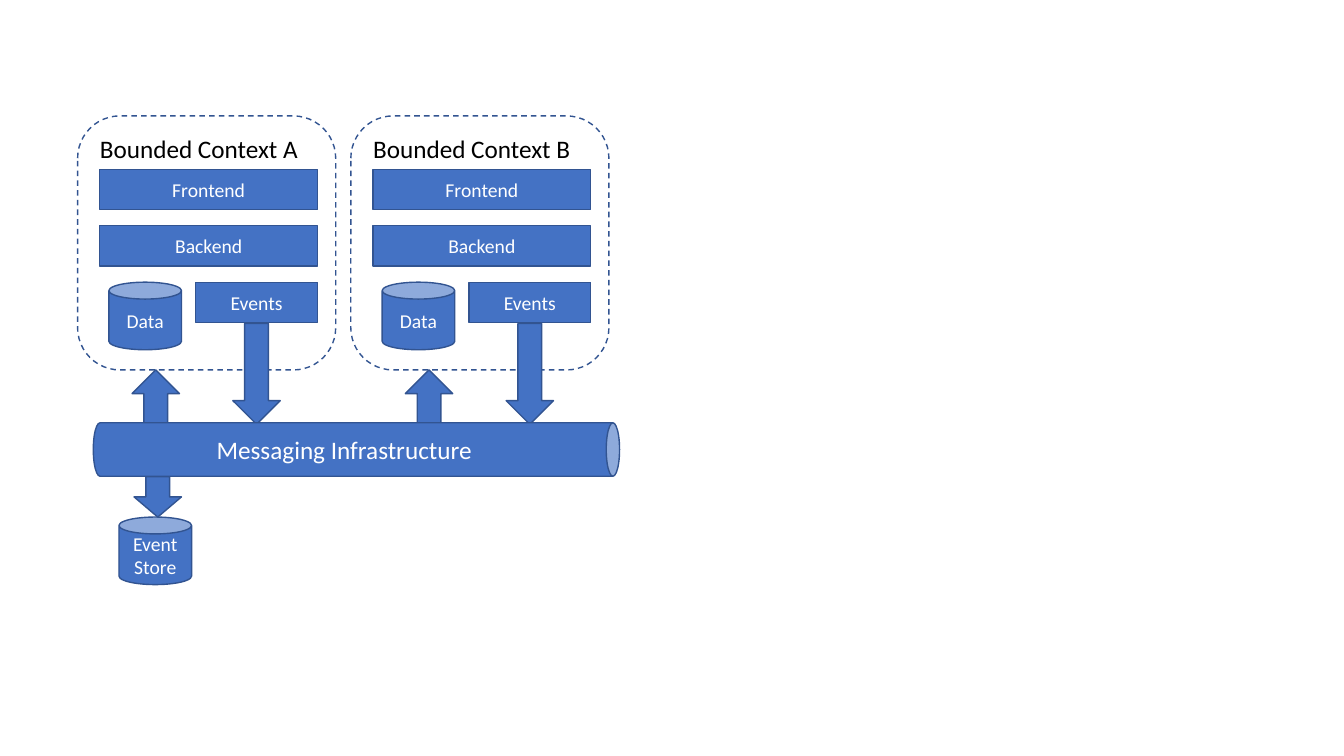
from pptx import Presentation
from pptx.dml.color import RGBColor
from pptx.enum.dml import MSO_LINE
from pptx.enum.shapes import MSO_SHAPE as SHAPE
from pptx.enum.text import MSO_ANCHOR as ANCHOR, MSO_AUTO_SIZE as AUTO, PP_ALIGN as ALIGN
from pptx.util import Inches, Pt

CELL = Inches(0.1)
BLUE, OUTLINE, WHITE, BLACK = "4472C4", "325491", "FFFFFF", "000000"
CONTEXT_PITCH = 27.1
LAYER_TOP, LAYER_PITCH = 16.8, 5.6
BAR_H = 4
CAN_W, CAN_H = 7.2, 6.7
ARROW_W = 4.7


def rgb(value):
    return RGBColor.from_string(value)


def cells(*counts):
    return [round(n * CELL) for n in counts]


def write(sp, text, size, color, align=ALIGN.LEFT, anchor=ANCHOR.TOP):
    tf = sp.text_frame
    tf.word_wrap = True
    tf.vertical_anchor = anchor
    p = tf.paragraphs[0]
    p.text = text
    p.alignment = align
    p.font.name = "Calibri"
    p.font.size = Pt(size)
    p.font.color.rgb = rgb(color)


def add_block(slide, kind, col, row, width, height, label="", rotation=0):
    sp = slide.shapes.add_shape(kind, *cells(col, row, width, height))
    sp.shadow.inherit = False
    sp.fill.solid()
    sp.fill.fore_color.rgb = rgb(BLUE)
    sp.line.color.rgb = rgb(OUTLINE)
    sp.line.width = Pt(1)
    sp.rotation = rotation
    if label:
        write(sp, label, 14, WHITE, ALIGN.CENTER, ANCHOR.MIDDLE)
    return sp


def add_bar(slide, col, row, width, label):
    add_block(slide, SHAPE.RECTANGLE, col, row, width, BAR_H, label)


def add_store(slide, col, row, label):
    add_block(slide, SHAPE.CAN, col, row, CAN_W, CAN_H, label)


def add_arrow(slide, col, row, height, rotation=0):
    add_block(slide, SHAPE.DOWN_ARROW, col, row, ARROW_W, height, rotation=rotation)


def add_context(slide, col, name):
    frame = add_block(slide, SHAPE.ROUNDED_RECTANGLE, col, 11.5, 25.6, 25.2)
    frame.fill.background()
    frame.line.dash_style = MSO_LINE.DASH
    write(frame, f"Bounded Context {name}", 18, BLACK)
    for i, label in enumerate(("Frontend", "Backend")):
        add_bar(slide, col + 2.2, LAYER_TOP + i * LAYER_PITCH, 21.6, label)
    data_row = LAYER_TOP + 2 * LAYER_PITCH
    add_store(slide, col + 3.1, data_row, "Data")
    add_bar(slide, col + 11.7, data_row, 12.1, "Events")
    add_arrow(slide, col + 15.4, 32.1, 10)
    add_arrow(slide, col + 5.4, 36.7, 5.3, rotation=180)


def add_messaging(slide):
    add_block(slide, SHAPE.CAN, 32.7, 18.5, 5.3, 52.2, rotation=90)
    box = slide.shapes.add_textbox(*cells(20.5, 42.6, 30.4, 4))
    write(box, "Messaging Infrastructure", 18, WHITE)
    box.text_frame.auto_size = AUTO.SHAPE_TO_FIT_TEXT


def main():
    prs = Presentation()
    prs.slide_width, prs.slide_height = Inches(13.33), Inches(7.5)
    slide = prs.slides.add_slide(prs.slide_layouts[6])
    for i, name in enumerate("AB"):
        add_context(slide, 7.7 + i * CONTEXT_PITCH, name)
    add_messaging(slide)
    add_store(slide, 11.8, 51.3, "Event Store")
    add_arrow(slide, 13.3, 47.3, 4)
    prs.save("out.pptx")


main()
